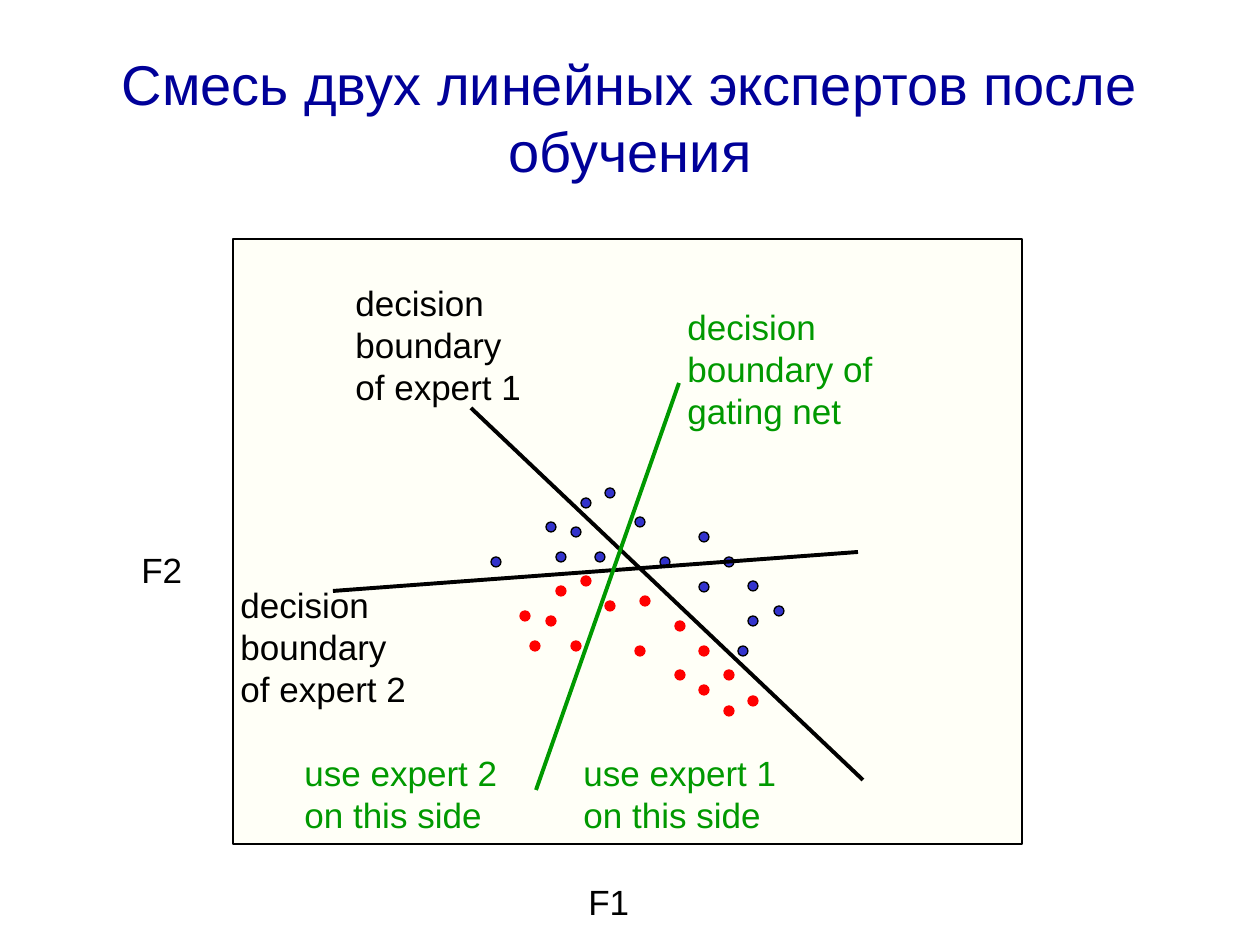
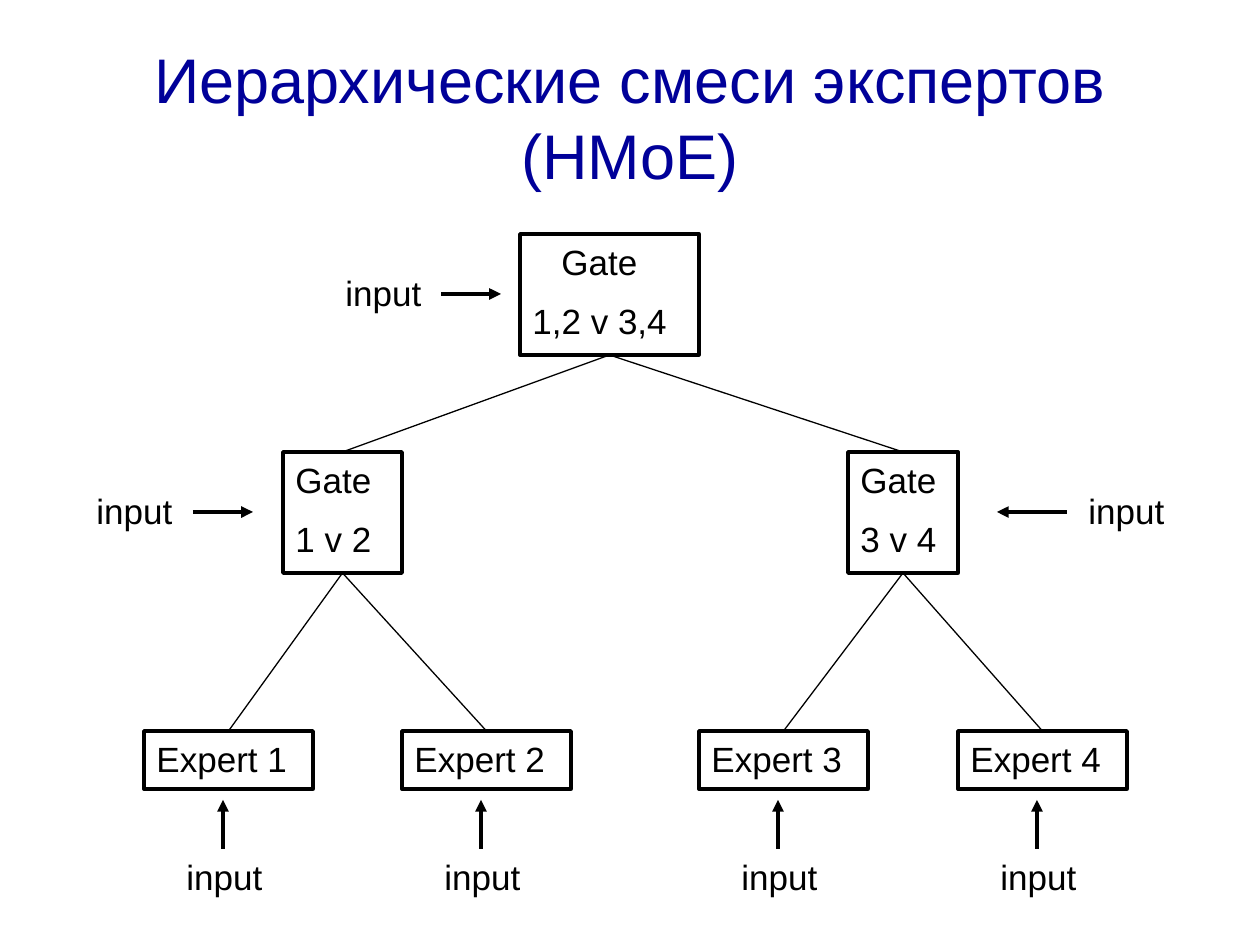
"""Two slides on mixtures of experts: a trained mixture and a hierarchy."""
from lxml.etree import SubElement
from pptx import Presentation
from pptx.dml.color import RGBColor
from pptx.enum.shapes import MSO_CONNECTOR, MSO_SHAPE
from pptx.enum.text import MSO_ANCHOR, PP_ALIGN
from pptx.oxml.ns import qn
from pptx.util import Pt

PX = 914400 / 126
FONT = "Arial"
BLACK, NAVY, GREEN = "000000", "000099", "009900"
BLUE, RED, CREAM = "3333CC", "FF0000", "FFFFF7"
hue = RGBColor.from_string


def put(slide, box, words="", kind=None, fill=None, line=BLACK, width=0.75,
        color=BLACK, size=20):
    """Add a shape, or a text box when no kind is given."""
    place = [round(n * PX) for n in box]
    if kind is None:
        shape = slide.shapes.add_textbox(*place)
    else:
        shape = slide.shapes.add_shape(kind, *place)
        shape.shadow.inherit = False
        shape.line.color.rgb = hue(line)
        shape.line.width = Pt(width)
        if fill:
            shape.fill.solid()
            shape.fill.fore_color.rgb = hue(fill)
        else:
            shape.fill.background()
    if words:
        frame = shape.text_frame
        frame.word_wrap = True
        frame.vertical_anchor = MSO_ANCHOR.TOP
        for i, part in enumerate(words.split("\n")):
            para = frame.add_paragraph() if i else frame.paragraphs[0]
            para.alignment = PP_ALIGN.LEFT
            para.space_before = Pt(10 if i else 0)
            run = para.add_run()
            run.text = part
            run.font.name = FONT
            run.font.size = Pt(size)
            run.font.color.rgb = hue(color)
    return shape


def wire(slide, ends, color=BLACK, width=2.25, arrow=False):
    """Add a straight line, with an arrowhead at its end if asked."""
    link = slide.shapes.add_connector(
        MSO_CONNECTOR.STRAIGHT, *[round(n * PX) for n in ends])
    link.line.color.rgb = hue(color)
    link.line.width = Pt(width)
    if arrow:
        SubElement(link.line._get_or_add_ln(), qn("a:tailEnd"), type="triangle")
    SubElement(link._element.spPr, qn("a:effectLst"))
    return link


deck = Presentation()
deck.slide_width = round(1260 * PX)
deck.slide_height = round(945 * PX)

pages = []
for title, size in [("Смесь двух линейных экспертов после обучения", 32),
                    ("Иерархические смеси экспертов (HMoE)", 36)]:
    page = deck.slides.add_slide(deck.slide_layouts[6])
    head = put(page, (63, 38, 1134, 157), title, color=NAVY, size=size)
    head.text_frame.vertical_anchor = MSO_ANCHOR.MIDDLE
    head.text_frame.paragraphs[0].alignment = PP_ALIGN.CENTER
    pages.append(page)
plot, tree = pages

put(plot, (233, 239, 789, 605), kind=MSO_SHAPE.RECTANGLE, fill=CREAM)
put(plot, (576, 874, 164, 54), "F1")
put(plot, (129, 542, 79, 54), "F2")

blues = [(699, 532), (748, 581), (724, 557), (748, 616), (774, 606), (660, 557),
         (699, 582), (738, 646), (556, 552), (491, 557), (581, 498), (605, 488),
         (635, 517), (546, 522), (571, 527), (595, 552)]
reds = [(675, 621), (724, 670), (699, 646), (724, 706), (748, 696), (635, 646),
        (675, 670), (699, 685), (530, 641), (640, 596), (556, 586), (581, 576),
        (605, 601), (520, 611), (546, 616), (571, 641)]
for dots, fill, line in [(blues, BLUE, BLACK), (reds, RED, RED)]:
    for x, y in dots:
        put(plot, (x, y, 10, 10), kind=MSO_SHAPE.OVAL, fill=fill, line=line)

for ends, color in [((471, 408, 863, 780), BLACK),
                    ((333, 591, 858, 552), BLACK),
                    ((679, 383, 536, 790), GREEN)]:
    wire(plot, ends, color)

for box, words, color in [
        ((675, 299, 253, 139), "decision boundary of gating net", GREEN),
        ((343, 275, 198, 139), "decision boundary of expert 1", BLACK),
        ((228, 577, 198, 139), "decision boundary of expert 2", BLACK),
        ((571, 745, 218, 97), "use expert 1 on this side", GREEN),
        ((292, 745, 218, 97), "use expert 2 on this side", GREEN)]:
    put(plot, box, words, color=color)

nodes = {}
for name, box, words in [
        ("root", (520, 234, 179, 121), "Gate\n1,2 v 3,4"),
        ("left", (283, 452, 119, 121), "Gate\n1 v 2"),
        ("right", (848, 452, 110, 121), "Gate\n3 v 4")]:
    nodes[name] = put(tree, box, words, MSO_SHAPE.RECTANGLE, width=2)
first = nodes["root"].text_frame.paragraphs[0]
first._p.get_or_add_pPr().set("marL", str(round(29 * PX)))

inputs = [((84, 483), (193, 512, 253, 512)),
          ((333, 265), (441, 294, 501, 294)),
          ((1076, 483), (1067, 512, 997, 512))]
for i, x in enumerate([144, 402, 699, 958], 1):
    nodes[i] = put(tree, (x, 731, 169, 58), f"Expert {i}",
                   MSO_SHAPE.RECTANGLE, width=2)
    inputs.append(((x + 30, 849), (x + 79, 849, x + 79, 800)))

for top, kids in [("root", ("left", "right")), ("left", (1, 2)),
                  ("right", (3, 4))]:
    for kid in kids:
        link = wire(tree, (0, 0, 0, 0), width=0.75)
        link.begin_connect(nodes[top], 2)
        link.end_connect(nodes[kid], 0)

for (x, y), ends in inputs:
    put(tree, (x, y, 110, 54), "input")
    wire(tree, ends, arrow=True)

deck.save("out.pptx")
